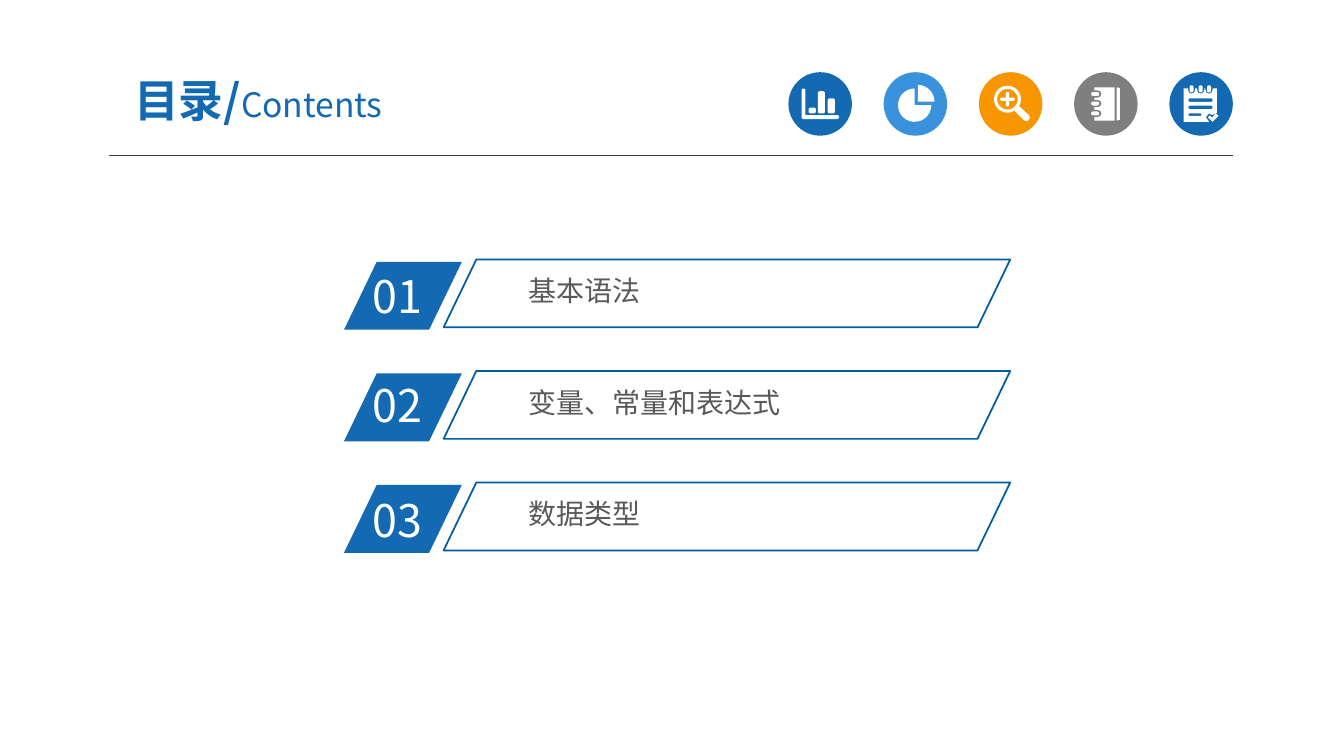
from math import cos, radians, sin

from lxml import etree
from pptx import Presentation
from pptx.dml.color import RGBColor
from pptx.enum.shapes import MSO_CONNECTOR, MSO_SHAPE
from pptx.enum.text import MSO_ANCHOR, MSO_AUTO_SIZE, PP_ALIGN
from pptx.oxml.ns import qn
from pptx.util import Cm, Pt

FONT = "Noto Sans CJK SC"
COLORS = {"blue": "1369B2", "sky": "3992DB", "orange": "F79600",
          "gray": "7F7F7F", "white": "FFFFFF", "text": "595959",
          "rule": "404040", "outline": "005DA2"}
ELLIPSE = MSO_SHAPE.OVAL
PARALLELOGRAM = MSO_SHAPE.PARALLELOGRAM
STRAIGHT = MSO_CONNECTOR.STRAIGHT
MIDDLE = MSO_ANCHOR.MIDDLE
TOP = MSO_ANCHOR.TOP
LEFT = PP_ALIGN.LEFT
CENTER = PP_ALIGN.CENTER
NO_AUTOFIT = MSO_AUTO_SIZE.NONE

ICON_LEFT, ICON_TOP, ICON_PITCH, ICON_SIZE = 19.87, 1.82, 2.4, 1.6
ROW_TOP, ROW_PITCH, ROW_HEIGHT, SLANT = 6.54, 2.81, 1.71, 0.482
CONTENTS = [("01", "基本语法", 6.65), ("02", "变量、常量和表达式", 9.4),
            ("03", "数据类型", 12.29)]


def rgb(name):
    return RGBColor.from_string(COLORS[name])


def paint(shape, fill=None, line=None, width=1.25):
    """Set fill and outline, leaving out whichever is not named."""
    shape.shadow.inherit = False
    if fill:
        shape.fill.solid()
        shape.fill.fore_color.rgb = rgb(fill)
    else:
        shape.fill.background()
    if line:
        shape.line.color.rgb = rgb(line)
        shape.line.width = Pt(width)
    else:
        shape.line.fill.background()


def add_shape(slide, kind, box, fill=None, line=None, adjust=()):
    shape = slide.shapes.add_shape(kind, *[Cm(length) for length in box])
    for index, value in enumerate(adjust):
        shape.adjustments[index] = value
    paint(shape, fill, line)


def add_run(paragraph, text, size, color, bold=False):
    run = paragraph.add_run()
    run.text = text
    run.font.name = FONT
    run.font.size = Pt(size)
    run.font.bold = bold
    run.font.color.rgb = rgb(color)
    east_asian = etree.SubElement(run.font._element, qn("a:ea"))
    east_asian.set("typeface", FONT)


def write_text(shape, runs, color, anchor=TOP, align=LEFT, insets=(0.25, 0.13)):
    """Fill a shape with runs given as (text, size, bold)."""
    frame = shape.text_frame
    frame.word_wrap = True
    frame.auto_size = NO_AUTOFIT
    frame.vertical_anchor = anchor
    frame.margin_left = frame.margin_right = Cm(insets[0])
    frame.margin_top = frame.margin_bottom = Cm(insets[1])
    paragraph = frame.paragraphs[0]
    paragraph.alignment = align
    paragraph.space_before = Pt(0)
    for text, size, bold in runs:
        add_run(paragraph, text, size, color, bold)


def add_text(slide, box, text, size, color, **options):
    shape = slide.shapes.add_textbox(*[Cm(length) for length in box])
    write_text(shape, [(text, size, False)], color, **options)


def add_title(slide):
    title = slide.shapes.title
    title.left, title.top, title.width, title.height = (
        Cm(2.33), Cm(1.6), Cm(8.36), Cm(1.83))
    write_text(title, [("目录/", 32, True), ("Contents", 24, False)], "blue",
               anchor=MIDDLE, align=CENTER, insets=(0.33, 0.18))


def add_rule(slide):
    rule = slide.shapes.add_connector(STRAIGHT, Cm(2.74), Cm(3.93), Cm(31.07), Cm(3.93))
    rule.line.color.rgb = rgb("rule")
    rule.line.width = Pt(0.75)
    etree.SubElement(rule._element.spPr, qn("a:effectLst"))


def arc(across, down, radius, start, end, steps=4):
    """Return points along a clockwise arc, with angles in degrees."""
    angles = [radians(start + (end - start) * step / steps) for step in range(steps + 1)]
    return [(across + radius * cos(angle), down + radius * sin(angle)) for angle in angles]


def rounded(left, top, width, height, radius=0.05):
    right, bottom = left + width - radius, top + height - radius
    left, top = left + radius, top + radius
    return (arc(left, top, radius, 180, 270) + arc(right, top, radius, 270, 360)
            + arc(right, bottom, radius, 0, 90) + arc(left, bottom, radius, 90, 180))


def bar_chart_outlines():
    axes = (arc(0.38, 0.46, 0.05, 180, 360) + [(0.43, 1.08)]
            + arc(1.23, 1.13, 0.05, -90, 90) + arc(0.38, 1.13, 0.05, 90, 180))
    bars = [(0.51, 0.15), (0.74, 0.56), (0.99, 0.38)]
    return [axes] + [rounded(left, 1.04 - height, 0.18, height) for left, height in bars]


def pie_outlines():
    return [[(0.78, 0.83)] + arc(0.78, 0.83, 0.42, 0, 270, 20),
            [(0.86, 0.74)] + arc(0.86, 0.74, 0.42, 270, 360, 8)]


def magnifier_outlines():
    across, down = 0.72, 0.68
    plus = (arc(across, down - 0.15, 0.04, 180, 360) + [(across + 0.04, down - 0.04)]
            + arc(across + 0.15, down, 0.04, -90, 90) + [(across + 0.04, down + 0.04)]
            + arc(across, down + 0.15, 0.04, 0, 180) + [(across - 0.04, down + 0.04)]
            + arc(across - 0.15, down, 0.04, 90, 270) + [(across - 0.04, down - 0.04)])
    handle = [(1.02, 0.86)] + arc(1.19, 1.14, 0.09, -45, 135, 6) + [(0.9, 0.98)]
    return [arc(across, down, 0.34, 0, 360, 24), arc(across, down, 0.26, 0, 360, 24),
            plus, handle]


def notebook_outlines():
    rings = (0.55, 0.79, 1.04)
    cover = [(0.51, 0.38), (1.02, 0.38), (1.02, 1.22), (0.51, 1.22)]
    for middle in reversed(rings):
        cover += [(0.51, middle + 0.09)] + arc(0.6, middle, 0.09, 90, -90) + [(0.51, middle - 0.09)]
    spine = [(1.07, 0.38), (1.15, 0.4), (1.15, 1.2), (1.07, 1.22)]
    return [cover, spine] + [rounded(0.43, middle - 0.05, 0.2, 0.1) for middle in rings]


def notepad_outlines():
    rings = (0.56, 0.79, 1.0)
    sheet = [(0.36, 0.41)]
    for middle in rings:
        sheet += [(middle - 0.09, 0.41)] + arc(middle, 0.45, 0.09, 180, 0) + [(middle + 0.09, 0.41)]
    sheet += [(1.2, 0.41), (1.2, 1.02), (1.08, 1.08), (1.0, 1.04), (0.92, 1.13),
              (1.0, 1.25), (0.36, 1.25)]
    check = [(0.97, 1.14), (1.02, 1.09), (1.08, 1.14), (1.17, 1.04), (1.24, 1.1), (1.09, 1.25)]
    lines = [(0.66, 0.61, 0.09), (0.84, 0.61, 0.09), (1.04, 0.33, 0.06)]
    return ([sheet, check]
            + [rounded(middle - 0.05, 0.33, 0.1, 0.18) for middle in rings]
            + [rounded(0.48, top, width, height, height / 2) for top, width, height in lines])


def add_icon(slide, left, color, outlines):
    """Draw a disc and, on it, a white symbol whose inner outlines are holes."""
    add_shape(slide, ELLIPSE, (left, ICON_TOP, ICON_SIZE, ICON_SIZE), color)
    placed = [[(Cm(left + across), Cm(ICON_TOP + down)) for across, down in outline]
              for outline in outlines]
    builder = slide.shapes.build_freeform(*placed[0][0])
    builder.add_line_segments(placed[0][1:], close=True)
    for outline in placed[1:]:
        builder.move_to(*outline[0])
        builder.add_line_segments(outline[1:], close=True)
    paint(builder.convert_to_shape(), "white")


def add_row(slide, top, number, label, number_top):
    add_shape(slide, PARALLELOGRAM, (8.67, top + 0.06, 2.97, ROW_HEIGHT),
              "blue", adjust=(SLANT,))
    add_text(slide, (9.14, number_top, 2.84, 1.63), number, 32, "white")
    add_text(slide, (13.13, top + 0.26, 10.46, 1.07), label, 20, "text", insets=(0.18, 0.1))
    add_shape(slide, PARALLELOGRAM, (11.18, top, 14.28, ROW_HEIGHT),
              line="outline", adjust=(SLANT,))


def main():
    presentation = Presentation()
    presentation.slide_width, presentation.slide_height = Cm(33.87), Cm(19.05)
    slide = presentation.slides.add_slide(presentation.slide_layouts[5])
    add_rule(slide)
    icons = [("blue", bar_chart_outlines()), ("sky", pie_outlines()),
             ("orange", magnifier_outlines()), ("gray", notebook_outlines()),
             ("blue", notepad_outlines())]
    for index, (color, outlines) in enumerate(icons):
        add_icon(slide, ICON_LEFT + index * ICON_PITCH, color, outlines)
    add_title(slide)
    for index, row in enumerate(CONTENTS):
        add_row(slide, ROW_TOP + index * ROW_PITCH, *row)
    presentation.save("out.pptx")


if __name__ == "__main__":
    main()
